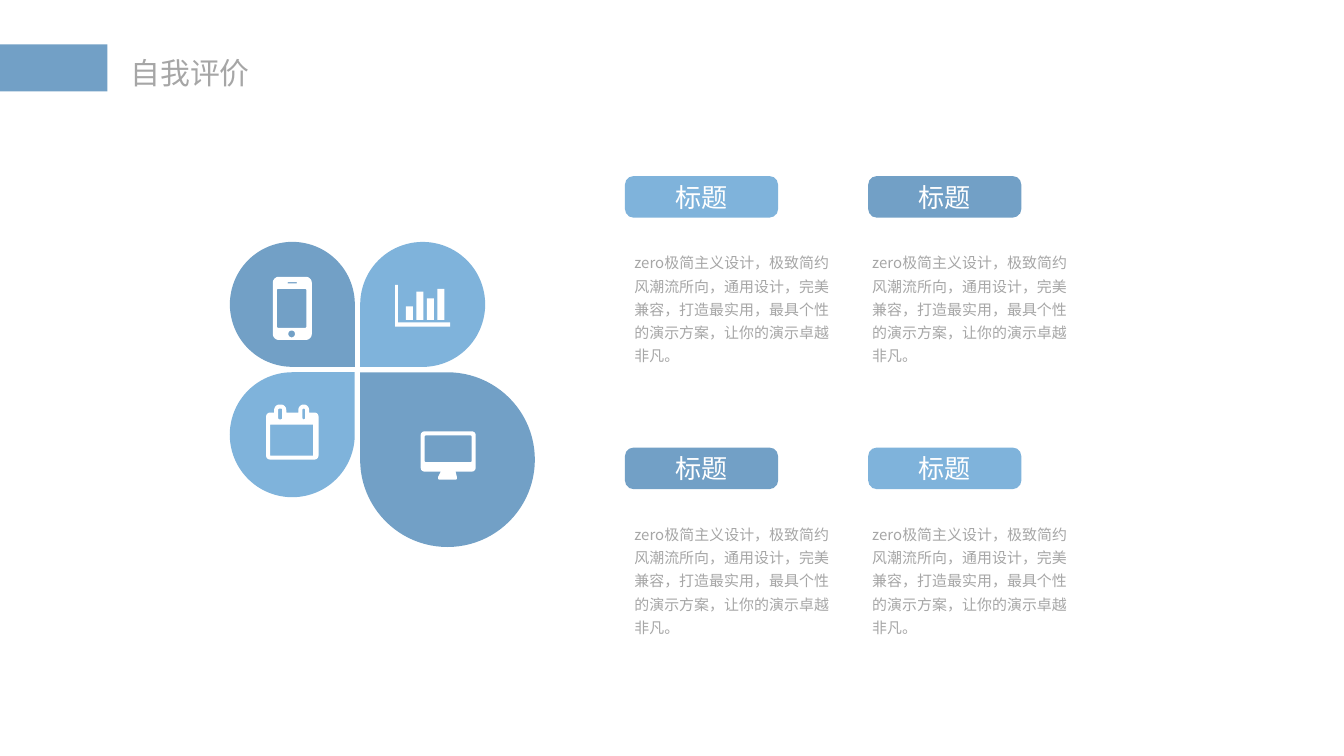
from math import cos, hypot, pi, sin

from lxml.etree import SubElement
from pptx import Presentation
from pptx.dml.color import RGBColor
from pptx.enum.shapes import MSO_AUTO_SHAPE_TYPE as Shape
from pptx.enum.text import MSO_ANCHOR as Anchor, PP_ALIGN as Align
from pptx.oxml.ns import qn
from pptx.util import Inches, Pt

COLORS = {"deep": "72A0C6", "light": "7FB3DB", "gray": "A6A6A6", "white": "FFFFFF"}
FONT = "Noto Sans CJK SC"
UNIT = Inches(0.1)
HUB_COLUMN, HUB_ROW, HALF_GAP = 26.6, 27.5, 0.2
FIRST_COLUMN, FIRST_ROW = 46.5, 13.1
CARD_STEP, TEXT_STEP, ROW_STEP = 18.1, 17.7, 20.2
BODY = "zero极简主义设计，极致简约风潮流所向，通用设计，完美兼容，打造最实用，最具个性的演示方案，让你的演示卓越非凡。"


def grid(*counts):
    return [round(count * UNIT) for count in counts]


def paint(shape, color):
    shape.shadow.inherit = False
    shape.fill.solid()
    shape.fill.fore_color.rgb = RGBColor.from_string(COLORS[color])
    shape.line.fill.background()


def add_block(page, kind, place, color):
    block = page.shapes.add_shape(kind, *grid(*place))
    paint(block, color)
    return block


def write(shape, text, size, color, align=Align.LEFT, side=0.07):
    frame = shape.text_frame
    frame.word_wrap = True
    frame.margin_left = frame.margin_right = Inches(side)
    frame.margin_top = frame.margin_bottom = Inches(0.04)
    para = frame.paragraphs[0]
    para.text = text
    para.alignment = align
    para.font.size = Pt(size)
    para.font.color.rgb = RGBColor.from_string(COLORS[color])
    para.font.name = FONT
    defaults = para._p.pPr.find(qn("a:defRPr"))
    SubElement(defaults, qn("a:ea")).set("typeface", FONT)
    return para


def add_header(page):
    add_block(page, Shape.RECTANGLE, (0, 3.3, 8, 3.5), "deep")
    box = page.shapes.add_textbox(*grid(8.9, 3.7, 10.5, 3.5))
    write(box, "自我评价", 16, "gray", Align.CENTER, 0.08)
    box.text_frame.word_wrap = False


def add_petal(page, right, below, size, rotation, color):
    left = HUB_COLUMN + (HALF_GAP if right else -HALF_GAP - size)
    top = HUB_ROW + (HALF_GAP if below else -HALF_GAP - size)
    petal = add_block(page, Shape.TEAR, (left, top, size, size), color)
    petal.rotation = rotation


def round_corners(corners, steps=8):
    points = []
    for index, (x, y, radius) in enumerate(corners):
        if not radius:
            points.append((x, y))
            continue
        before, after = corners[index - 1], corners[(index + 1) % len(corners)]
        (ux, uy), (wx, wy) = [
            ((near[0] - x) * radius / hypot(near[0] - x, near[1] - y),
             (near[1] - y) * radius / hypot(near[0] - x, near[1] - y))
            for near in (before, after)
        ]
        for step in range(steps + 1):
            angle = step / steps * pi / 2
            along, across = 1 - sin(angle), 1 - cos(angle)
            points.append((x + ux * along + wx * across, y + uy * along + wy * across))
    return points


def panel(left, top, right, bottom, radius=0):
    sides = [(left, top), (right, top), (right, bottom), (left, bottom)]
    return round_corners([(x, y, radius) for x, y in sides])


def add_icon(page, *outlines):
    builder = None
    for outline in outlines:
        start, *rest = [(x * 100, y * 100) for x, y in outline]
        if builder is None:
            builder = page.shapes.build_freeform(*start, scale=UNIT / 100)
        else:
            builder.move_to(*start)
        builder.add_line_segments(rest, close=True)
    paint(builder.convert_to_shape(), "white")


def add_calendar(page):
    rings = [(20.4, 21.3), (22.2, 23)]
    edge = [(19.8, 30.7, 0.3)]
    for left, right in rings:
        edge += [(left, 30.7, 0), (left, 30.1, 0.4), (right, 30.1, 0.4), (right, 30.7, 0)]
    edge += [(23.7, 30.7, 0.3), (23.7, 34.2, 0.3), (19.8, 34.2, 0.3)]
    slots = [panel(left + 0.3, 30.4, right - 0.3, 31.2, 0.1) for left, right in rings]
    add_icon(page, round_corners(edge), panel(20.1, 31.6, 23.3, 33.9), *slots)


def add_monitor(page):
    edge = [(31.3, 32.1, 0.3), (35.4, 32.1, 0.3), (35.4, 35.1, 0.3),
            (33.9, 35.1, 0), (34, 35.5, 0), (34, 35.7, 0.1),
            (32.6, 35.7, 0.1), (32.6, 35.5, 0), (32.8, 35.1, 0), (31.3, 35.1, 0.3)]
    add_icon(page, round_corners(edge), panel(31.6, 32.4, 35.1, 34.4, 0.1))


def add_bars(page):
    axes = [(29.4, 21.2), (29.6, 21.2), (29.6, 24), (33.5, 24), (33.5, 24.3), (29.4, 24.3)]
    tops = [22.8, 21.7, 22.2, 21.5]
    bars = [panel(30.2 + 0.78 * index, top, 30.72 + 0.78 * index, 23.8)
            for index, top in enumerate(tops)]
    add_icon(page, axes, *bars)


def add_phone(page):
    add_icon(page, panel(20.3, 20.6, 23.2, 25.3, 0.45), panel(20.6, 21.5, 22.8, 24.4, 0.1),
             panel(21.4, 21, 22.1, 21.1, 0.05), panel(21.45, 24.6, 21.95, 25.1, 0.25))


def add_card(page, column, row):
    top = FIRST_ROW + row * ROW_STEP
    color = "light" if column == row else "deep"
    place = (FIRST_COLUMN + column * CARD_STEP, top, 11.4, 3.1)
    label = add_block(page, Shape.ROUNDED_RECTANGLE, place, color)
    label.adjustments[0] = 0.21
    label.text_frame.vertical_anchor = Anchor.MIDDLE
    write(label, "标题", 14, "white", Align.CENTER)
    box = page.shapes.add_textbox(*grid(FIRST_COLUMN + column * TEXT_STEP, top + 5, 17, 9.5))
    para = write(box, BODY, 8, "gray")
    para.line_spacing = 1.3
    para.space_after = Pt(4.5)


def main():
    deck = Presentation()
    deck.slide_width, deck.slide_height = grid(100, 56.25)
    page = deck.slides.add_slide(deck.slide_layouts[6])
    add_header(page)
    add_petal(page, True, True, 13, 270, "deep")
    add_petal(page, True, False, 9.3, 180, "light")
    add_petal(page, False, True, 9.3, 0, "light")
    add_petal(page, False, False, 9.3, 90, "deep")
    for add_symbol in (add_calendar, add_monitor, add_bars, add_phone):
        add_symbol(page)
    for row in range(2):
        for column in range(2):
            add_card(page, column, row)
    deck.save("out.pptx")


if __name__ == "__main__":
    main()
